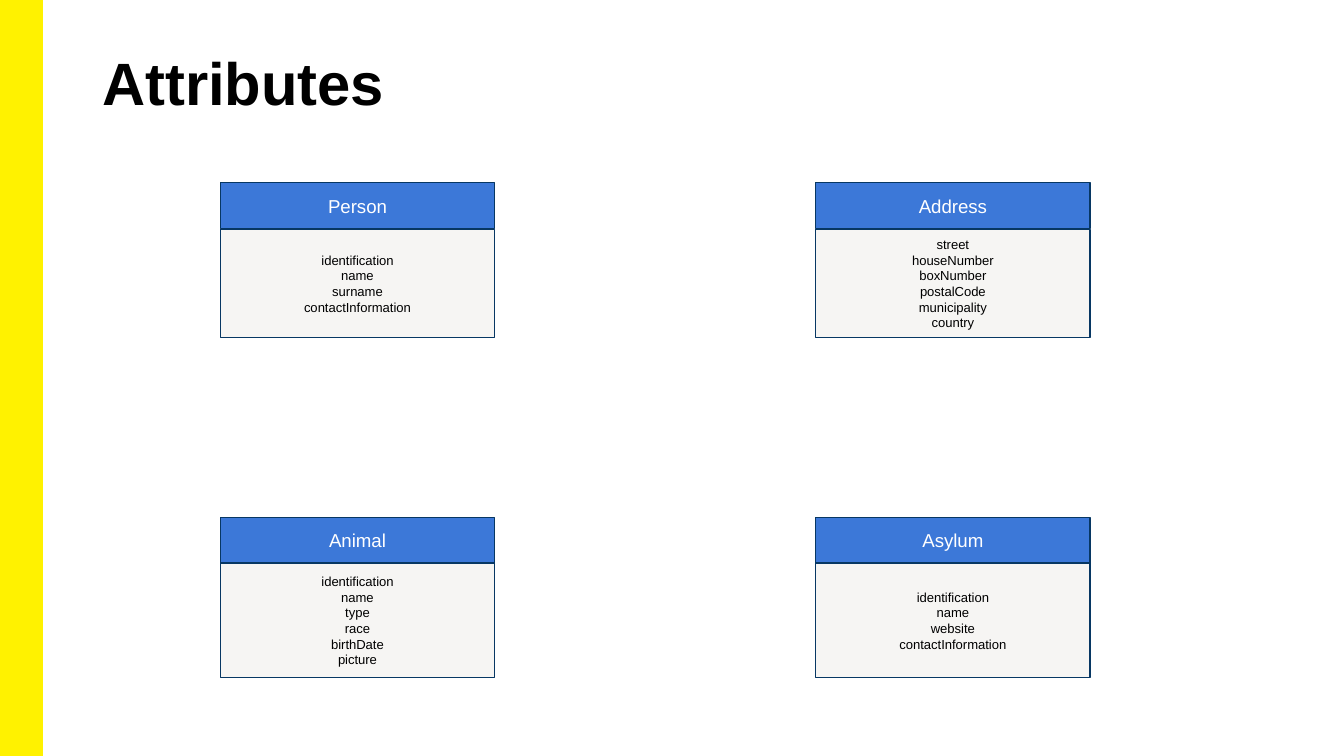
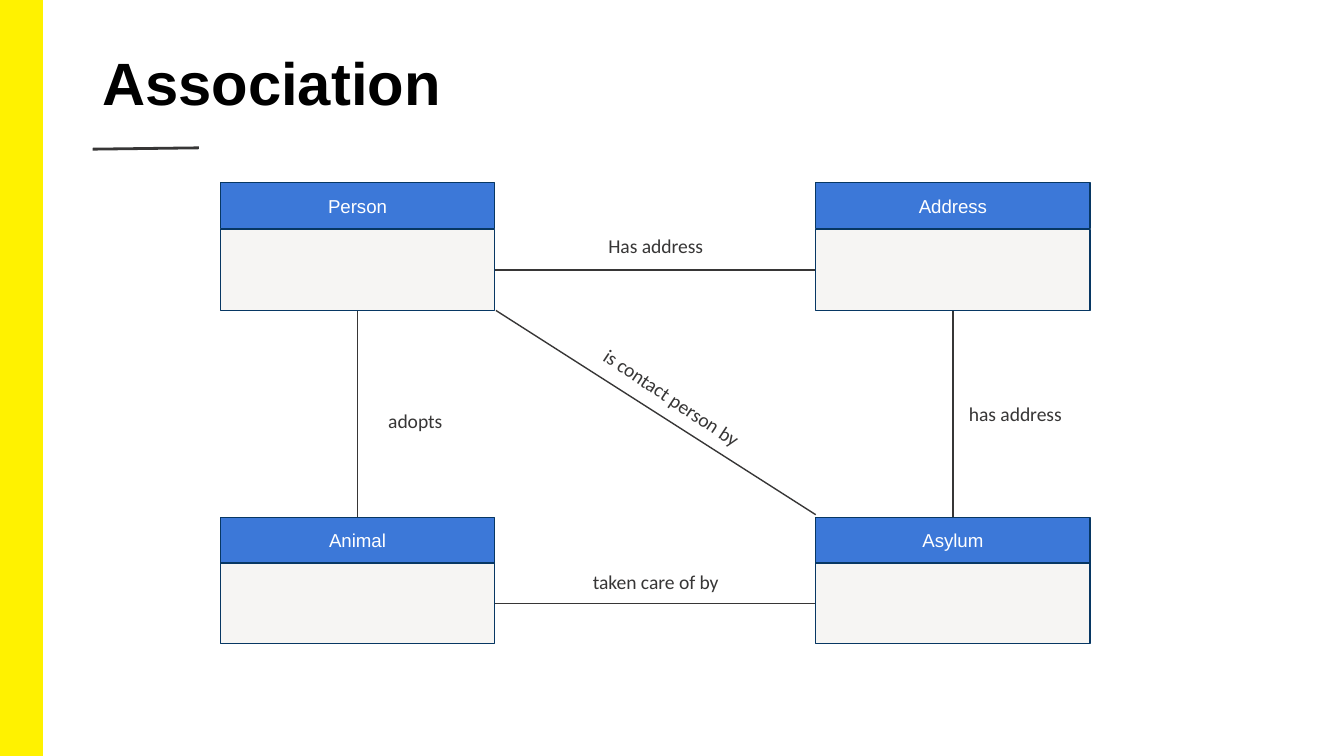
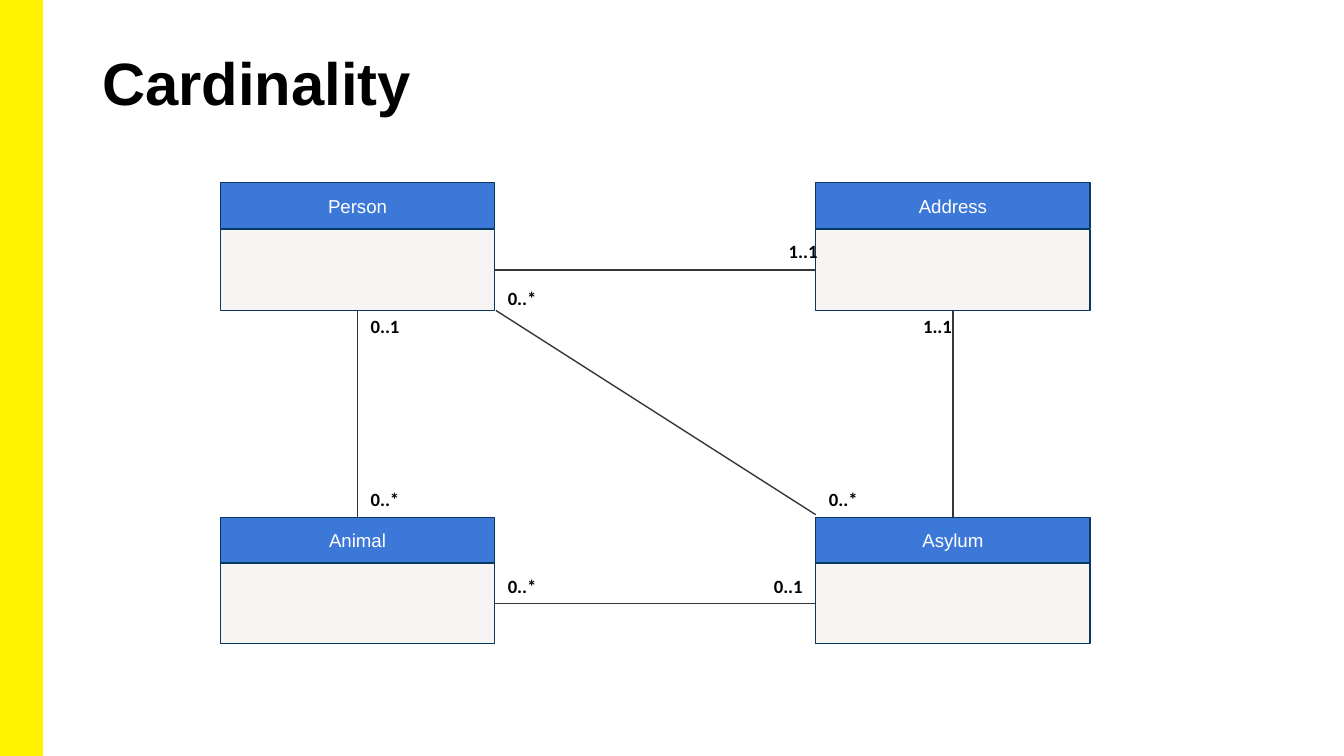
import pptx
import pptx.dml.color
import pptx.enum.shapes
import pptx.enum.text
import pptx.util
from lxml import etree

Inches = pptx.util.Inches
Pt = pptx.util.Pt
RGB = pptx.dml.color.RGBColor.from_string
RECTANGLE = pptx.enum.shapes.MSO_SHAPE.RECTANGLE
STRAIGHT = pptx.enum.shapes.MSO_CONNECTOR.STRAIGHT
ANCHOR = pptx.enum.text.MSO_ANCHOR
ALIGN = pptx.enum.text.PP_ALIGN
GROW = pptx.enum.text.MSO_AUTO_SIZE.SHAPE_TO_FIT_TEXT

COLORS = {
    "band": "FFF200",
    "header": "3C78D8",
    "body": "F6F5F3",
    "border": "073763",
    "ink": "373636",
    "black": "000000",
    "white": "FFFFFF",
}

# Class diagram grid
LEFT, RIGHT = 1.64, 6.07
TOP, BOTTOM = 1.36, 3.85
CLASS_WIDTH, HEADER_HEIGHT, BODY_HEIGHT = 2.04, 0.34, 0.6
LEFT_EDGE = LEFT + CLASS_WIDTH
CLASS_BOTTOM = 2.31
CLASSES = {
    "Person": (LEFT, TOP),
    "Address": (RIGHT, TOP),
    "Animal": (LEFT, BOTTOM),
    "Asylum": (RIGHT, BOTTOM),
}
ATTRIBUTES = {
    "Person": ["identification", "name", "surname", "contactInformation"],
    "Address": ["street", "houseNumber", "boxNumber", "postalCode",
                "municipality", "country"],
    "Animal": ["identification", "name", "type", "race", "birthDate", "picture"],
    "Asylum": ["identification", "name", "website", "contactInformation"],
}
BODY_TOPS = {TOP: 1.71, BOTTOM: 4.19}
ATTRIBUTE_HEIGHTS = {TOP: 0.8, BOTTOM: 0.85}

# Lines between the classes: x1, y1, x2, y2
ASSOCIATIONS = [
    (LEFT_EDGE, 4.49, RIGHT, 4.49),
    (LEFT + CLASS_WIDTH / 2, CLASS_BOTTOM, LEFT + CLASS_WIDTH / 2, BOTTOM),
    (LEFT_EDGE, 2.01, RIGHT, 2.01),
    (RIGHT + CLASS_WIDTH / 2, BOTTOM, RIGHT + CLASS_WIDTH / 2, CLASS_BOTTOM),
    (3.69, CLASS_BOTTOM, RIGHT, 3.83),
]
# Text, left, top, width, rotation
ASSOCIATION_NAMES = [
    ("taken care of by", 4.11, 4.2, 1.54, 0),
    ("adopts", 2.32, 3, 1.54, 0),
    ("Has address", 4.11, 1.7, 1.54, 0),
    ("has address", 7, 2.95, 1.11, 0),
    ("is contact person by", 4.23, 2.83, 1.54, 33.6),
]
# Text, left, top
CARDINALITIES = [
    ("0..1", 2.66, 2.26),
    ("0..*", 2.66, 3.55),
    ("0..*", 3.68, 4.19),
    ("0..1", 5.66, 4.19),
    ("1..1", 6.77, 2.26),
    ("1..1", 5.77, 1.7),
    ("0..*", 6.07, 3.55),
    ("0..*", 3.68, 2.05),
]


def write(shape, lines, size, color, font="Arial", bold=False,
          align=ALIGN.CENTER, anchor=ANCHOR.MIDDLE, insets=(0.1, 0.1)):
    frame = shape.text_frame
    frame.word_wrap = True
    frame.vertical_anchor = anchor
    frame.margin_left = frame.margin_right = Inches(insets[0])
    frame.margin_top = frame.margin_bottom = Inches(insets[1])
    frame.text = "\n".join(lines)
    for paragraph in frame.paragraphs:
        paragraph.alignment = align
        paragraph.font.name = font
        paragraph.font.size = Pt(size)
        paragraph.font.bold = bold
        paragraph.font.color.rgb = RGB(COLORS[color])


def add_line(slide, ends, width):
    line = slide.shapes.add_connector(STRAIGHT, *[Inches(end) for end in ends])
    line.line.color.rgb = RGB(COLORS["ink"])
    line.line.width = Pt(width)
    etree.SubElement(line.element.spPr, pptx.oxml.ns.qn("a:effectLst"))


# Widescreen, 16 to 9
deck = pptx.Presentation()
deck.slide_width = Inches(10)
deck.slide_height = deck.slide_width * 9 // 16
layout = deck.slide_layouts.get_by_name("Title Only")

for number, topic in enumerate(["Attributes", "Association", "Cardinality"]):
    slide = deck.slides.add_slide(layout)

    # Yellow band, moved to the layout so that every slide shows it
    if number == 0:
        band = slide.shapes.add_shape(RECTANGLE, 0, 0, Inches(0.31), deck.slide_height)
        band.shadow.inherit = False
        band.fill.solid()
        band.fill.fore_color.rgb = RGB(COLORS["band"])
        band.line.color.rgb = RGB(COLORS["band"])
        band.line.width = Pt(1)
        band.element.nvSpPr.cNvPr.set("id", "20")
        layout.shapes.element.insert(2, band.element)

    # Title
    title = slide.shapes.title
    title.left, title.top = Inches(0.69), Inches(0.3)
    title.width, title.height = Inches(8.62), Inches(0.8)
    write(title, [topic], 32, "black", bold=True, align=ALIGN.LEFT,
          anchor=ANCHOR.TOP, insets=(0.07, 0.04))

    # Associations
    if topic != "Attributes":
        for ends in ASSOCIATIONS:
            add_line(slide, ends, 0.75)

    # Classes, each a body below a header
    for name, (left, top) in CLASSES.items():
        attributes = ATTRIBUTES[name] if topic == "Attributes" else []
        body_height = ATTRIBUTE_HEIGHTS[top] if attributes else BODY_HEIGHT
        group = slide.shapes.add_group_shape()
        for lines, y, height, fill, size, color in [
            (attributes, BODY_TOPS[top], body_height, "body", 7, "black"),
            ([name], top, HEADER_HEIGHT, "header", 10, "white"),
        ]:
            part = group.shapes.add_shape(RECTANGLE, Inches(left), Inches(y),
                                          Inches(CLASS_WIDTH), Inches(height))
            part.shadow.inherit = False
            part.fill.solid()
            part.fill.fore_color.rgb = RGB(COLORS[fill])
            part.line.color.rgb = RGB(COLORS["border"])
            part.line.width = Pt(0.75)
            if lines:
                write(part, lines, size, color)

    # Association names and the rule below the title
    if topic == "Association":
        for name, left, top, width, rotation in ASSOCIATION_NAMES:
            label = slide.shapes.add_textbox(Inches(left), Inches(top),
                                             Inches(width), Inches(0.25))
            label.rotation = rotation
            write(label, [name], 10.5, "ink", font="Calibri",
                  anchor=ANCHOR.TOP, insets=(0.07, 0.04))
            label.text_frame.auto_size = GROW
        add_line(slide, (0.69, 1.11, 1.48, 1.1), 1.5)

    # Cardinalities at the line ends
    if topic == "Cardinality":
        for cardinality, left, top in CARDINALITIES:
            label = slide.shapes.add_textbox(Inches(left), Inches(top),
                                             Inches(0.63), Inches(0.37))
            write(label, [cardinality], 10, "black", font="Calibri", bold=True,
                  align=ALIGN.LEFT, anchor=ANCHOR.TOP)
            label.text_frame.auto_size = GROW

deck.save("out.pptx")
